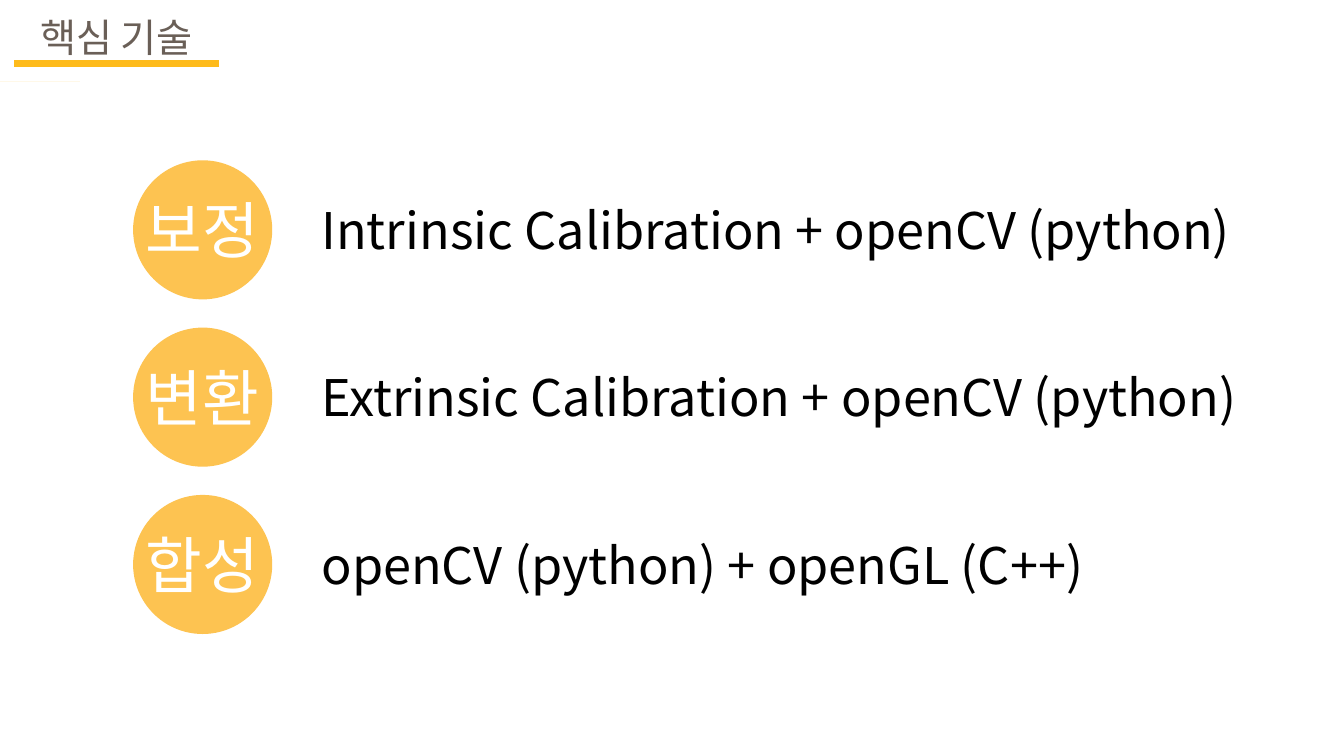
import pptx
import pptx.util
import pptx.dml.color
import pptx.enum.shapes
import pptx.enum.text
import pptx.oxml.ns
import lxml.etree

Inches = pptx.util.Inches
RGBColor = pptx.dml.color.RGBColor
ALIGN = pptx.enum.text.PP_ALIGN

FONT = "Noto Sans CJK KR"
AMBER = RGBColor(0xFD, 0xC3, 0x51)
GOLD = RGBColor(0xFE, 0xBB, 0x1B)
CREAM = RGBColor(0xFF, 0xF8, 0xE8)
BROWN = RGBColor(0x6A, 0x5F, 0x57)
WHITE = RGBColor(0xFF, 0xFF, 0xFF)
BLACK = RGBColor(0x00, 0x00, 0x00)

FIRST_ROW = 2.28
ROW_STEP = 1.66
CIRCLE_LEFT = 1.32
CIRCLE_SIZE = 1.38
LABEL_WIDTH, LABEL_HEIGHT = 1.78, 0.84
DETAIL_LEFT, DETAIL_HEIGHT = 3.09, 0.71

TECHNIQUES = [
    ("보정", "Intrinsic Calibration + openCV (python)", 10.38),
    ("변환", "Extrinsic Calibration + openCV (python)", 10.38),
    ("합성", "openCV (python) + openGL (C++)", 9.66),
]


def write_text(shape, box, text, size, color, alignment):
    shape.left, shape.top, shape.width, shape.height = map(Inches, box)
    frame = shape.text_frame
    frame.text = text
    frame.word_wrap = True
    frame.vertical_anchor = pptx.enum.text.MSO_ANCHOR.TOP
    frame.auto_size = pptx.enum.text.MSO_AUTO_SIZE.SHAPE_TO_FIT_TEXT
    paragraph = frame.paragraphs[0]
    paragraph.alignment = alignment
    run = paragraph.runs[0]
    run.font.size = pptx.util.Pt(size)
    run.font.name = FONT
    run.font.color.rgb = color
    east_asian = lxml.etree.SubElement(run.font._element, pptx.oxml.ns.qn("a:ea"))
    east_asian.set("typeface", FONT)


presentation = pptx.Presentation()
presentation.slide_width = Inches(13.33)
presentation.slide_height = Inches(7.5)
slide = presentation.slides.add_slide(presentation.slide_layouts[5])

write_text(slide.shapes.title, (0.1, 0.08, 2.11, 0.57), "핵심 기술", 28, BROWN, ALIGN.CENTER)

for start, end, height, color, weight in [
    (0, 0.79, 0.81, CREAM, 0.75),
    (0.14, 2.17, 0.63, GOLD, 4.5),
]:
    rule = slide.shapes.add_connector(
        pptx.enum.shapes.MSO_CONNECTOR.STRAIGHT,
        Inches(start), Inches(height), Inches(end), Inches(height),
    )
    rule.line.color.rgb = color
    rule.line.width = pptx.util.Pt(weight)
    lxml.etree.SubElement(rule._element.spPr, pptx.oxml.ns.qn("a:effectLst"))

for row, (label, detail, detail_width) in enumerate(TECHNIQUES):
    middle = FIRST_ROW + row * ROW_STEP

    circle = slide.shapes.add_shape(
        pptx.enum.shapes.MSO_SHAPE.OVAL,
        Inches(CIRCLE_LEFT), Inches(middle - CIRCLE_SIZE / 2),
        Inches(CIRCLE_SIZE), Inches(CIRCLE_SIZE),
    )
    circle.shadow.inherit = False
    circle.fill.solid()
    circle.fill.fore_color.rgb = AMBER
    circle.line.fill.background()

    label_left = CIRCLE_LEFT + (CIRCLE_SIZE - LABEL_WIDTH) / 2
    label_box = (label_left, middle - LABEL_HEIGHT / 2, LABEL_WIDTH, LABEL_HEIGHT)
    detail_box = (DETAIL_LEFT, middle - DETAIL_HEIGHT / 2, detail_width, DETAIL_HEIGHT)
    for box, text, size, color, alignment in [
        (label_box, label, 44, WHITE, ALIGN.CENTER),
        (detail_box, detail, 36, BLACK, ALIGN.LEFT),
    ]:
        write_text(slide.shapes.add_textbox(0, 0, 0, 0), box, text, size, color, alignment)

presentation.save("out.pptx")
